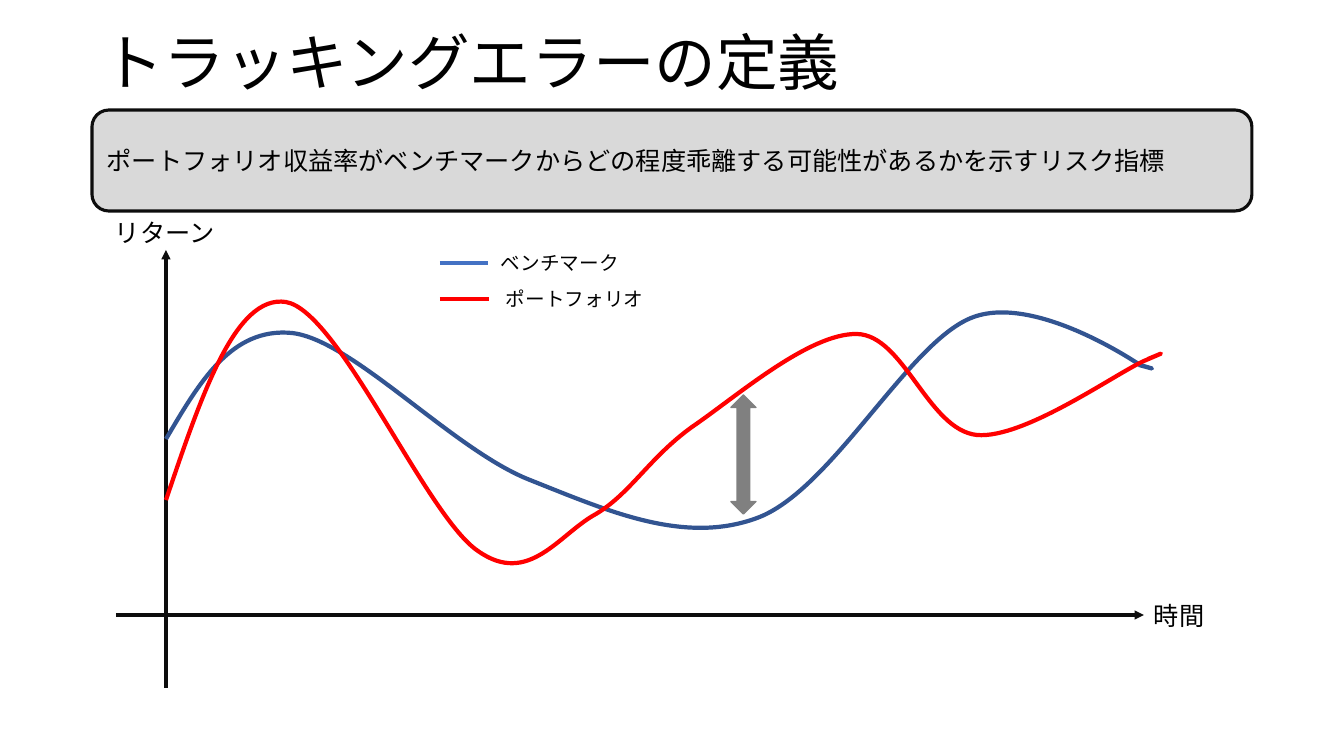
import pptx
import pptx.util
import pptx.dml.color
import pptx.enum.shapes
import pptx.enum.text
import pptx.oxml
import pptx.oxml.ns
import lxml.etree

PX = 914400 / 100.8
FONT = "Noto Sans CJK JP"
BLACK, AXIS, RED, GRAY = "000000", "0D0D0D", "FF0000", "808080"
SHAPES = pptx.enum.shapes.MSO_SHAPE
qn = pptx.oxml.ns.qn


def emu(*pixels):
    return [round(value * PX) for value in pixels]


def color(hex_code):
    return pptx.dml.color.RGBColor.from_string(hex_code)


def write(shape, text, size=18, wrap=True, spacing=1.0,
          fit=pptx.enum.text.MSO_AUTO_SIZE.NONE,
          anchor=pptx.enum.text.MSO_ANCHOR.MIDDLE):
    frame = shape.text_frame
    frame.word_wrap = wrap
    frame.auto_size = fit
    frame.vertical_anchor = anchor
    paragraph = frame.paragraphs[0]
    paragraph.alignment = pptx.enum.text.PP_ALIGN.LEFT
    paragraph.line_spacing = spacing
    run = paragraph.add_run()
    run.text = text
    run.font.size = pptx.util.Pt(size)
    run.font.name = FONT
    run.font.color.rgb = color(BLACK)
    lxml.etree.SubElement(run.font._element, qn("a:ea"), typeface=FONT)


deck = pptx.Presentation()
deck.slide_width, deck.slide_height = emu(1344, 756)
slide = deck.slides.add_slide(deck.slide_layouts[5])
shapes = slide.shapes

title = shapes.title
title.left, title.top, title.width, title.height = emu(92, 21, 1160, 89)
write(title, "トラッキングエラーの定義", size=44, spacing=0.9)

definition = shapes.add_shape(SHAPES.ROUNDED_RECTANGLE, *emu(92, 110, 1160, 101))
gap = shapes.add_shape(SHAPES.UP_DOWN_ARROW, *emu(731, 395, 25, 119))
for block, fill, line, width in (
    (definition, "D9D9D9", AXIS, 2.25),
    (gap, GRAY, GRAY, 1),
):
    block.shadow.inherit = False
    block.fill.solid()
    block.fill.fore_color.rgb = color(fill)
    block.line.color.rgb = color(line)
    block.line.width = pptx.util.Pt(width)
write(definition, "ポートフォリオ収益率がベンチマークからどの程度乖離する可能性があるかを示すリスク指標")

for start_x, start_y, end_x, end_y, line, width, arrow in (
    (166, 688, 166, 250, AXIS, 2.25, True),
    (116, 615, 1144, 615, AXIS, 2.25, True),
    (440, 263, 488, 263, "4472C4", 3, False),
    (440, 299, 489, 299, RED, 3, False),
):
    stroke = shapes.add_connector(
        pptx.enum.shapes.MSO_CONNECTOR.STRAIGHT, *emu(start_x, start_y, end_x, end_y))
    stroke.line.color.rgb = color(line)
    stroke.line.width = pptx.util.Pt(width)
    if arrow:
        lxml.etree.SubElement(stroke.line._get_or_add_ln(), qn("a:tailEnd"), type="triangle")
    lxml.etree.SubElement(stroke._element.spPr, qn("a:effectLst"))

benchmark = [
    (166, 439), (199, 383), (231, 327), (292, 333), (353, 340), (453, 450), (530, 480),
    (608, 511), (684, 545), (757, 518), (831, 491), (907, 344), (971, 318),
    (1034, 292), (1140, 365), (1140, 365), (1168, 373), (1139, 365), (1139, 365),
]
portfolio = [
    (166, 500), (201, 397), (235, 294), (286, 302), (339, 311), (426, 516), (478, 551),
    (529, 587), (559, 534), (596, 514), (631, 493), (649, 458), (692, 427),
    (736, 397), (809, 333), (857, 334), (904, 335), (928, 430), (977, 435),
    (1024, 439), (1115, 374), (1144, 361), (1172, 349), (1160, 354), (1148, 359),
]
for points, left, top, right, bottom, line in (
    (benchmark, 166, 312, 1153, 528, "325491"),
    (portfolio, 166, 302, 1162, 563, RED),
):
    builder = shapes.build_freeform(left, top, scale=PX)
    builder.add_line_segments([(right, bottom)], close=False)
    curve = builder.convert_to_shape()
    curve.shadow.inherit = False
    curve.fill.background()
    curve.line.color.rgb = color(line)
    curve.line.width = pptx.util.Pt(3)
    outline = curve._element.find(".//" + qn("a:path"))
    for segment in list(outline):
        outline.remove(segment)
    for index, (x, y) in enumerate(points):
        if index == 0:
            segment = lxml.etree.SubElement(outline, qn("a:moveTo"))
        elif index % 3 == 1:
            segment = lxml.etree.SubElement(outline, qn("a:cubicBezTo"))
        lxml.etree.SubElement(segment, qn("a:pt"), x=str(x - left), y=str(y - top))

for text, left, top, width, height, size in (
    ("時間", 1144, 595, 71, 40, 18),
    ("リターン", 105, 212, 122, 40, 18),
    ("ベンチマーク", 491, 246, 139, 34, 14),
    ("ポートフォリオ", 496, 282, 159, 34, 14),
):
    label = shapes.add_textbox(*emu(left, top, width, height))
    write(label, text, size=size, wrap=False,
          fit=pptx.enum.text.MSO_AUTO_SIZE.SHAPE_TO_FIT_TEXT,
          anchor=pptx.enum.text.MSO_ANCHOR.TOP)

deck.save("out.pptx")
